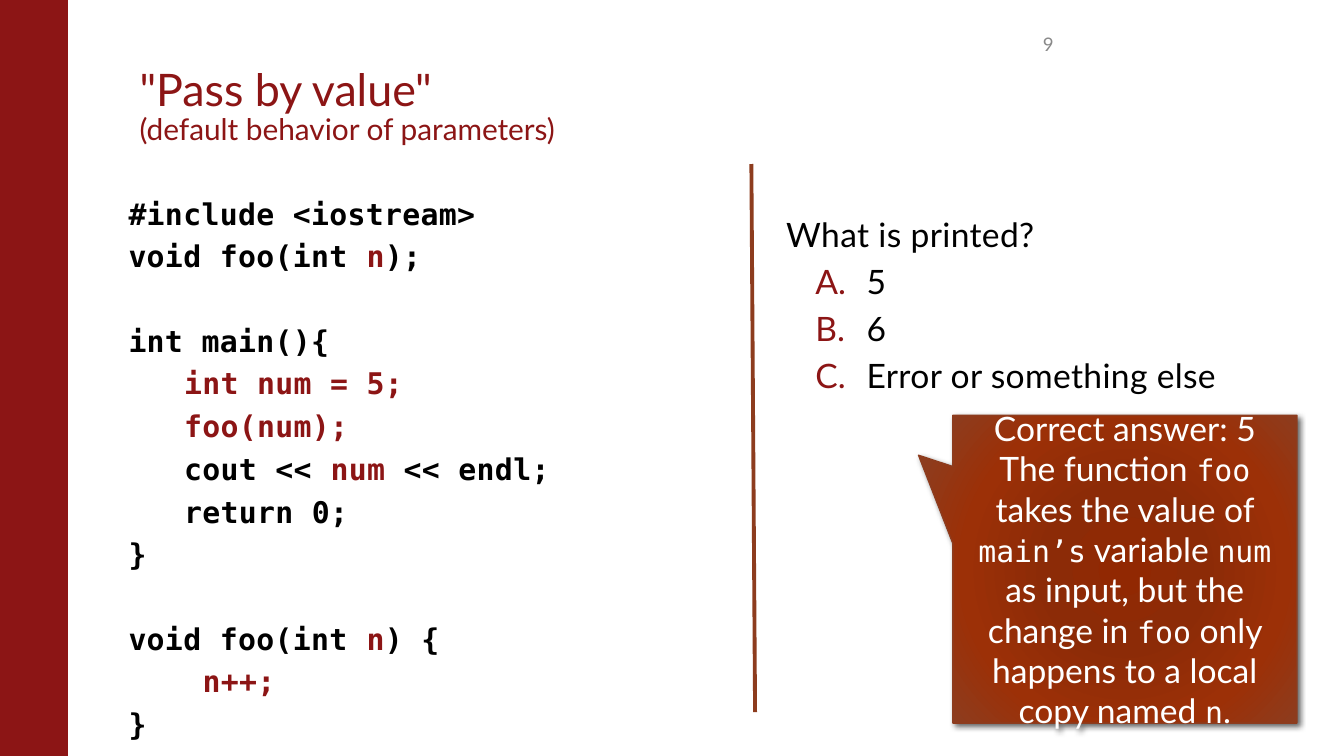
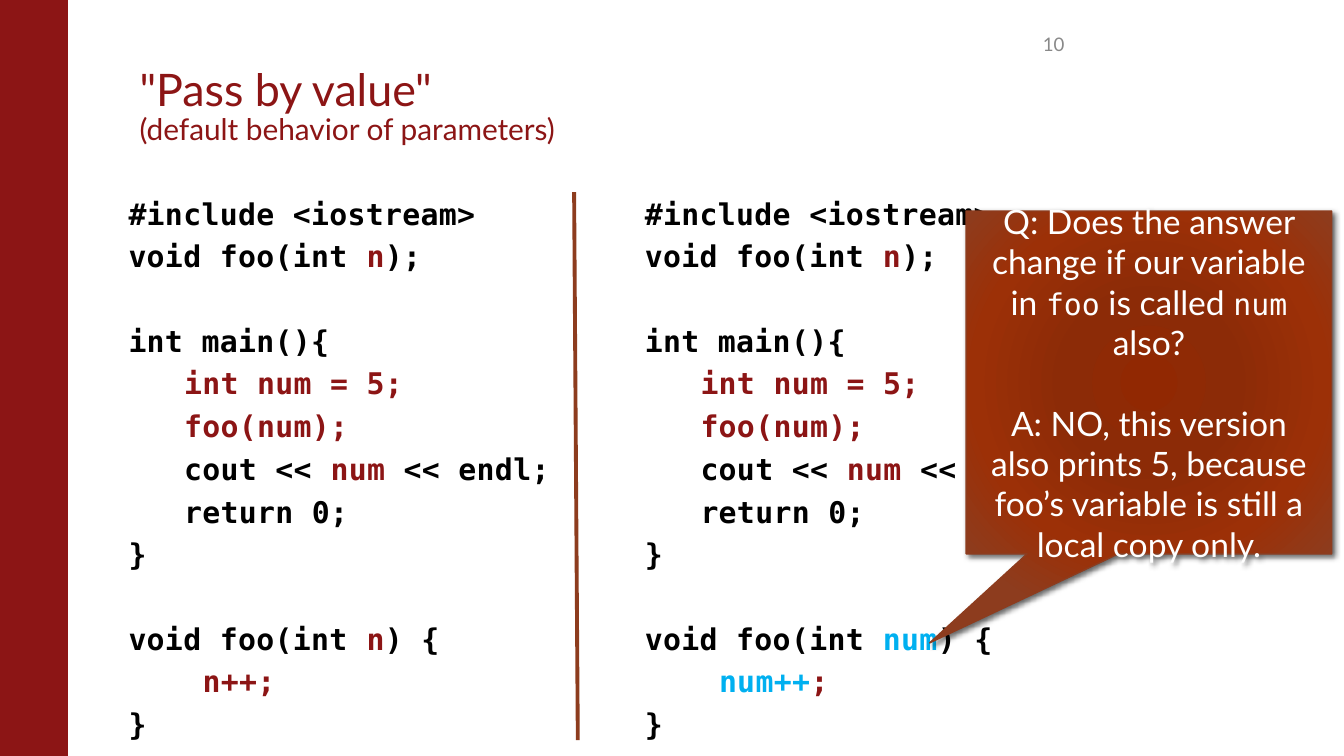
from dataclasses import dataclass
from typing import Optional

import lxml.etree
import pptx
import pptx.dml.color
import pptx.enum.shapes
import pptx.enum.text
import pptx.oxml
import pptx.oxml.ns
import pptx.util
from pptx.util import Cm, Pt

COLOURS = {
    "cardinal": "8C1515",
    "ink": "000000",
    "renamed": "00B0F0",
    "white": "FFFFFF",
    "grey": "898989",
    "rust": "8D3C1E",
}
GLOW = {0: "912802", 34: "8C2B07", 70: "9C3007", 100: COLOURS["rust"]}
LATO, MONO = "Lato", "DejaVu Sans Mono"
ANCHOR = pptx.enum.text.MSO_ANCHOR
ALIGN = pptx.enum.text.PP_ALIGN
SHAPE = pptx.enum.shapes.MSO_SHAPE
CODE_MARGIN, CODE_COLUMN = 0.58, 0.35
CODE_SPACE, CODE_PITCH = 3.7, 22.3
CODE_LEFT, CODE_RIGHT = 1.85, 11.61


@dataclass(frozen=True)
class Style:
    font: str
    size: int
    colour: str
    bold: bool = False
    tracking: int = 0


@dataclass(frozen=True)
class Span:
    text: str
    style: Style


@dataclass(frozen=True)
class Line:
    spans: tuple[Span, ...]
    before: float = 0
    margin: float = 0
    hanging: float = 0
    lettered: bool = False


@dataclass(frozen=True)
class Box:
    left: float
    top: float
    width: float
    height: float

    def lengths(self) -> tuple[int, int, int, int]:
        return Cm(self.left), Cm(self.top), Cm(self.width), Cm(self.height)


@dataclass(frozen=True)
class Callout:
    box: Box
    tip: tuple[float, float]
    lines: tuple[Line, ...]


TITLE = Style(LATO, 24, "cardinal")
SUBTITLE = Style(LATO, 16, "cardinal")
NUMBER = Style(LATO, 10, "grey")
QUESTION = Style(LATO, 18, "ink", tracking=20)
CODE = Style(MONO, 16, "ink", True, 20)
MARKED = Style(MONO, 16, "cardinal", True, 20)
RENAMED = Style(MONO, 16, "renamed", True, 20)
SPEECH = Style(LATO, 18, "white")
SPEECH_CODE = Style(MONO, 16, "white")


def rgb(name: str) -> pptx.dml.color.RGBColor:
    return pptx.dml.color.RGBColor.from_string(COLOURS[name])


def add_xml(parent, tag: str, **attributes: str):
    child = lxml.etree.SubElement(parent, pptx.oxml.ns.qn(tag))
    for key, value in attributes.items():
        child.set(key, value)
    return child


def format_run(run, style: Style) -> None:
    run.font.name = style.font
    run.font.size = Pt(style.size)
    run.font.bold = style.bold
    run.font.color.rgb = rgb(style.colour)
    if style.tracking:
        run.font._element.set("spc", str(style.tracking))


def write_lines(frame, lines: tuple[Line, ...], align=ALIGN.LEFT) -> None:
    frame.word_wrap = True
    for index, line in enumerate(lines):
        paragraph = frame.add_paragraph() if index else frame.paragraphs[0]
        paragraph.alignment = align
        paragraph.space_before = Pt(line.before)
        properties = paragraph._p.get_or_add_pPr()
        properties.set("marL", str(Cm(line.margin)))
        properties.set("indent", str(Cm(line.hanging)))
        if line.lettered:
            bullet = add_xml(properties, "a:buClr")
            add_xml(bullet, "a:srgbClr", val=COLOURS["cardinal"])
            add_xml(properties, "a:buAutoNum", type="alphaUcPeriod")
        for span in line.spans:
            run = paragraph.add_run()
            run.text = span.text
            format_run(run, span.style)


def add_text(slide, box: Box, lines: tuple[Line, ...], side: float = 0):
    frame = slide.shapes.add_textbox(*box.lengths()).text_frame
    frame.margin_left = frame.margin_right = Cm(side)
    frame.margin_top = frame.margin_bottom = Cm(0.13)
    write_lines(frame, lines)
    return frame


def add_band(slide) -> None:
    band = slide.shapes.add_shape(SHAPE.RECTANGLE, *Box(0, 0, 1.27, 14.29).lengths())
    band.shadow.inherit = False
    band.fill.solid()
    band.fill.fore_color.rgb = rgb("cardinal")
    band.line.color.rgb = rgb("cardinal")
    band.line.width = Pt(0.75)


def add_heading(slide) -> None:
    frame = slide.shapes.add_textbox(*Box(2.64, 0.99, 21.41, 1.9).lengths()).text_frame
    frame.word_wrap = True
    frame.vertical_anchor = ANCHOR.BOTTOM
    frame.margin_left = 0
    heading = frame.paragraphs[0]
    heading.text = '"Pass by value"\v(default behavior of parameters)'
    heading.line_spacing = 0.85
    for run, style in zip(heading.runs, (TITLE, SUBTITLE)):
        format_run(run, style)


def add_number(slide, number: int) -> None:
    line = Line((Span(str(number), NUMBER),))
    frame = add_text(slide, Box(19.46, 0.46, 2.77, 0.76), (line,), 0.25)
    frame.vertical_anchor = ANCHOR.MIDDLE


def add_divider(slide, left: float, top: float) -> None:
    divider = slide.shapes.add_connector(
        pptx.enum.shapes.MSO_CONNECTOR.STRAIGHT,
        Cm(left), Cm(top), Cm(left + 0.07), Cm(top + 10.36),
    )
    divider.line.color.rgb = rgb("rust")
    divider.line.width = Pt(2.08)
    add_xml(divider._element.spPr, "a:effectLst")


def code_line(*spans: Span, columns: int = 0, gap: bool = False) -> Line:
    before = CODE_SPACE + (CODE_PITCH if gap else 0)
    return Line(spans, before, CODE_MARGIN + columns * CODE_COLUMN)


def add_listing(slide, left: float, parameter: Span, increment: tuple[Span, ...]) -> None:
    lines = (
        code_line(Span("#include <iostream>", CODE)),
        code_line(Span("void foo(int ", CODE), Span("n", MARKED), Span(");", CODE)),
        code_line(Span("int main(){", CODE), gap=True),
        code_line(Span("int num = 5;", MARKED), columns=3),
        code_line(Span("foo(num);", MARKED), columns=3),
        code_line(Span("cout << ", CODE), Span("num", MARKED), Span(" << endl;", CODE), columns=3),
        code_line(Span("return 0;", CODE), columns=3),
        code_line(Span("}", CODE)),
        code_line(Span("void foo(int ", CODE), parameter, Span(") {", CODE), gap=True),
        code_line(*increment, columns=4),
        code_line(Span("}", CODE)),
    )
    add_text(slide, Box(left, 3.56, 11.66, 10.52), lines)


def add_question(slide) -> None:
    prompt = Line((Span("What is printed?", QUESTION),), 3.6)
    choices = tuple(
        Line((Span(choice, QUESTION),), 3.6, 1.52, -0.97, True)
        for choice in ("5", "6", "Error or something else")
    )
    add_text(slide, Box(14.86, 3.91, 9.04, 6.48), (prompt, *choices))


def glow_fill():
    fill = pptx.oxml.parse_xml(f'<a:gradFill {pptx.oxml.ns.nsdecls("a")} rotWithShape="1"/>')
    stops = add_xml(fill, "a:gsLst")
    for position, colour in GLOW.items():
        add_xml(add_xml(stops, "a:gs", pos=str(position * 1000)), "a:srgbClr", val=colour)
    focus = add_xml(fill, "a:path", path="circle")
    add_xml(focus, "a:fillToRect", **dict.fromkeys("ltrb", "100000"))
    return fill


def add_callout(slide, callout: Callout) -> None:
    speech = slide.shapes.add_shape(SHAPE.RECTANGULAR_CALLOUT, *callout.box.lengths())
    for index, offset in enumerate(callout.tip):
        speech.adjustments[index] = offset
    speech.line.color.rgb = rgb("rust")
    speech.line.width = Pt(0.75)
    speech.shadow.inherit = False
    properties = speech._element.spPr
    properties.find(pptx.oxml.ns.qn("a:prstGeom")).addnext(glow_fill())
    shadow = add_xml(
        properties.find(pptx.oxml.ns.qn("a:effectLst")), "a:outerShdw",
        blurRad=str(Pt(3)), dist=str(Pt(2)), dir="2700000", algn="tl", rotWithShape="0",
    )
    add_xml(add_xml(shadow, "a:srgbClr", val=COLOURS["ink"]), "a:alpha", val="60000")
    speech.text_frame.vertical_anchor = ANCHOR.MIDDLE
    write_lines(speech.text_frame, callout.lines, ALIGN.CENTER)


def speech_line(*texts: str, before: float = 0) -> Line:
    spans = (Span(text, SPEECH_CODE if index % 2 else SPEECH) for index, text in enumerate(texts))
    return Line(tuple(spans), before)


ANSWER = Callout(
    Box(18.01, 7.85, 6.5, 5.82),
    (-0.6, -0.37),
    (
        speech_line("Correct answer: 5"),
        speech_line(
            "The function ", "foo", " takes the value of ", "main’s", " variable ", "num",
            " as input, but the change in ", "foo",
            " only happens to a local copy named ", "n", ".",
        ),
    ),
)
FOLLOW_UP = Callout(
    Box(18.26, 3.99, 6.91, 6.48),
    (-0.6, 0.76),
    (
        speech_line("Q: Does the answer change if our variable in ", "foo", " is called ", "num ", "also?"),
        speech_line(
            "A: NO, this version also prints 5, because foo’s variable is still a local copy only.",
            before=21.6,
        ),
    ),
)


def start_slide(presentation, number: int):
    slide = presentation.slides.add_slide(presentation.slide_layouts[6])
    add_band(slide)
    add_heading(slide)
    add_listing(slide, CODE_LEFT, Span("n", MARKED), (Span("n++;", MARKED),))
    add_number(slide, number)
    return slide


def main() -> None:
    presentation = pptx.Presentation()
    presentation.slide_width = Cm(25.4)
    presentation.slide_height = Cm(14.29)

    quiz = start_slide(presentation, 9)
    add_divider(quiz, 14.2, 3.1)
    add_question(quiz)
    add_callout(quiz, ANSWER)

    comparison = start_slide(presentation, 10)
    add_divider(comparison, 10.85, 3.63)
    add_listing(
        comparison, CODE_RIGHT, Span("num", RENAMED),
        (Span("num++", RENAMED), Span(";", MARKED)),
    )
    add_callout(comparison, FOLLOW_UP)

    presentation.save("out.pptx")


if __name__ == "__main__":
    main()
